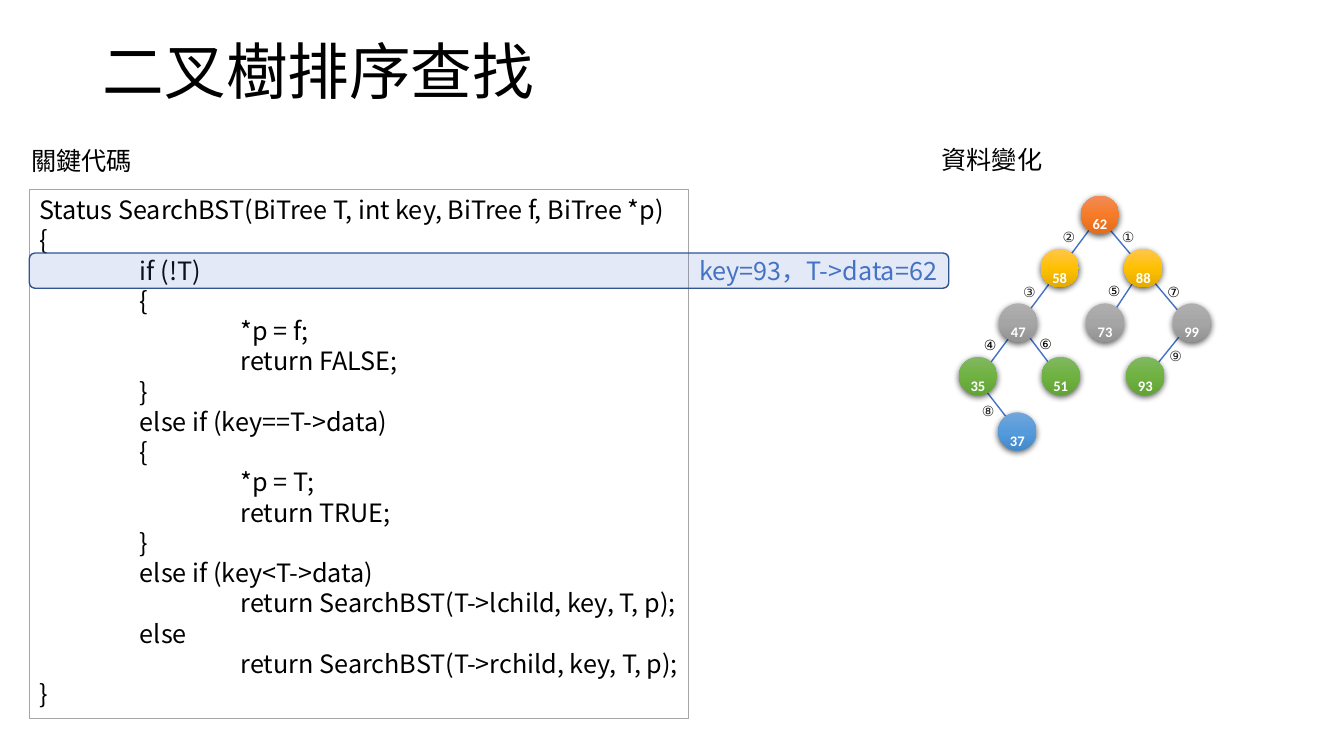
from pptx import Presentation
from pptx.dml.color import RGBColor
from pptx.enum.shapes import MSO_CONNECTOR, MSO_SHAPE
from pptx.enum.text import MSO_ANCHOR, MSO_AUTO_SIZE, PP_ALIGN
from pptx.oxml import parse_xml
from pptx.oxml.ns import nsdecls
from pptx.util import Pt
from lxml.etree import SubElement

PX = 9144
NS = nsdecls("a")
A = "{http://schemas.openxmlformats.org/drawingml/2006/main}"
HAN = "Noto Sans CJK SC"
rgb = RGBColor.from_string


def add_text(p, text, size, font, color, spacing=None):
    r = p.add_run()
    r.text = text
    r.font.size = Pt(size)
    r.font.name = font
    r.font.color.rgb = rgb(color)
    SubElement(r.font._element, A + "ea", typeface=font)
    if spacing:
        p.line_spacing = spacing
    return r


def add_box(shapes, x, y, w, h, wrap):
    s = shapes.add_textbox(x * PX, y * PX, w * PX, h * PX)
    s.text_frame.word_wrap = wrap
    return s.text_frame


prs = Presentation()
prs.slide_width, prs.slide_height = 1333 * PX, 750 * PX
slide = prs.slides.add_slide(prs.slide_layouts[5])
shapes = slide.shapes

title = shapes.title
title.left, title.top, title.width, title.height = 92 * PX, 1 * PX, 1150 * PX, 145 * PX
tf = title.text_frame
tf.auto_size = MSO_AUTO_SIZE.NONE
tf.vertical_anchor = MSO_ANCHOR.MIDDLE
tf.paragraphs[0].alignment = PP_ALIGN.LEFT
add_text(tf.paragraphs[0], "二叉樹排序查找", 44, HAN, "000000", 0.9)

code = """Status SearchBST(BiTree T, int key, BiTree f, BiTree *p)
{
\tif (!T)
\t{
\t\t*p = f;
\t\treturn FALSE;
\t}
\telse if (key==T->data)
\t{
\t\t*p = T;
\t\treturn TRUE;
\t}
\telse if (key<T->data)
\t\treturn SearchBST(T->lchild, key, T, p);
\telse
\t\treturn SearchBST(T->rchild, key, T, p);
}"""
s = shapes.add_shape(MSO_SHAPE.RECTANGLE, 29 * PX, 188 * PX, 654 * PX, 525 * PX)
s.shadow.inherit = False
s.fill.solid()
s.fill.fore_color.rgb = rgb("FFFFFF")
s.line.color.rgb = rgb("A5A5A5")
s.line.width = Pt(1)
tf = s.text_frame
tf.word_wrap = True
tf.vertical_anchor = MSO_ANCHOR.TOP
for i, line in enumerate(code.split("\n")):
    p = tf.add_paragraph() if i else tf.paragraphs[0]
    p.alignment = PP_ALIGN.LEFT
    tabs = SubElement(p._p.get_or_add_pPr(), A + "tabLst")
    for stop in (100, 200):
        SubElement(tabs, A + "tab", pos=str(stop * PX), algn="l")
    add_text(p, line, 18, HAN, "000000", Pt(21.6))

for text, x, y, w in [("關鍵代碼", 21, 139, 125), ("資料變化", 924, 138, 121)]:
    tf = add_box(shapes, x, y, w, 40, False)
    add_text(tf.paragraphs[0], text, 18, HAN, "000000", Pt(21.6))

branches = [
    (1132, 268, 1093, 327), (1180, 321, 1135, 377), (968, 375, 1006, 424),
    (1013, 324, 1050, 373), (1090, 215, 1180, 322), (1090, 215, 966, 382),
]
for branch in branches:
    c = shapes.add_connector(MSO_CONNECTOR.STRAIGHT, *[v * PX for v in branch])
    c.line.color.rgb = rgb("4472C4")
    c.line.width = Pt(1)
    SubElement(c._element.spPr, A + "effectLst")

levels = [
    (194, ("F18C57", "F67B28", "E56C19"), [("62", 1072)]),
    (247, ("FFC64B", "FFC000", "E3AB00"), [("58", 1032), ("88", 1115)]),
    (301, ("AFAFAF", "A5A5A5", "939393"), [("47", 991), ("73", 1077), ("99", 1163)]),
    (354, ("81B861", "6FB242", "62A336"), [("35", 951), ("51", 1033), ("93", 1117)]),
    (409, ("71A6DB", "559BDB", "448ACA"), [("37", 990)]),
]
for y, colors, nodes in levels:
    stops = "".join(
        f'<a:gs pos="{i * 50000}"><a:srgbClr val="{c}"/></a:gs>' for i, c in enumerate(colors)
    )
    for value, x in nodes:
        node = shapes.add_group_shape()
        s = node.shapes.add_shape(MSO_SHAPE.OVAL, x * PX, y * PX, 38 * PX, 38 * PX)
        s.line.fill.background()
        spPr = s._element.spPr
        spPr.insert(2, parse_xml(
            f'<a:gradFill {NS} rotWithShape="1"><a:gsLst>{stops}</a:gsLst>'
            '<a:lin ang="5400000" scaled="0"/></a:gradFill>'))
        spPr.append(parse_xml(
            f'<a:effectLst {NS}><a:outerShdw blurRad="57150" dist="19050" dir="5400000" '
            'algn="ctr" rotWithShape="0"><a:srgbClr val="000000"><a:alpha val="63000"/>'
            '</a:srgbClr></a:outerShdw></a:effectLst>'))
        tf = add_box(node.shapes, x, y - 2, 38, 30, True)
        tf.margin_left = tf.margin_right = 0
        p = tf.paragraphs[0]
        p.alignment = PP_ALIGN.CENTER
        r = add_text(p, value, 18, "Calibri", "FFFFFF")
        r.font.bold = True
        r.font._element.set("baseline", "-25000")

steps = [
    ("①", 1103, 222, "222222"), ("②", 1044, 222, "222222"), ("③", 1005, 276, "222222"),
    ("④", 966, 329, "000000"), ("⑤", 1089, 275, "000000"), ("⑥", 1021, 328, "000000"),
    ("⑦", 1148, 276, "000000"), ("⑧", 964, 394, "222222"), ("⑨", 1150, 340, "222222"),
]
for mark, x, y, color in steps:
    tf = add_box(shapes, x, y, 34, 27, False)
    add_text(tf.paragraphs[0], mark, 10, "DejaVu Sans", color)

s = shapes.add_shape(MSO_SHAPE.ROUNDED_RECTANGLE, 29 * PX, 251 * PX, 912 * PX, 35 * PX)
s.shadow.inherit = False
s.fill.solid()
s.fill.fore_color.rgb = rgb("4472C4")
SubElement(s._element.spPr.find(f"{A}solidFill/{A}srgbClr"), A + "alpha", val="15000")
s.line.color.rgb = rgb("325491")
s.line.width = Pt(1)
tf = s.text_frame
tf.vertical_anchor = MSO_ANCHOR.MIDDLE
p = tf.paragraphs[0]
p.alignment = PP_ALIGN.RIGHT
add_text(p, "key=93，T->data=62", 18, HAN, "4472C4", Pt(21.6))

prs.save("out.pptx")
